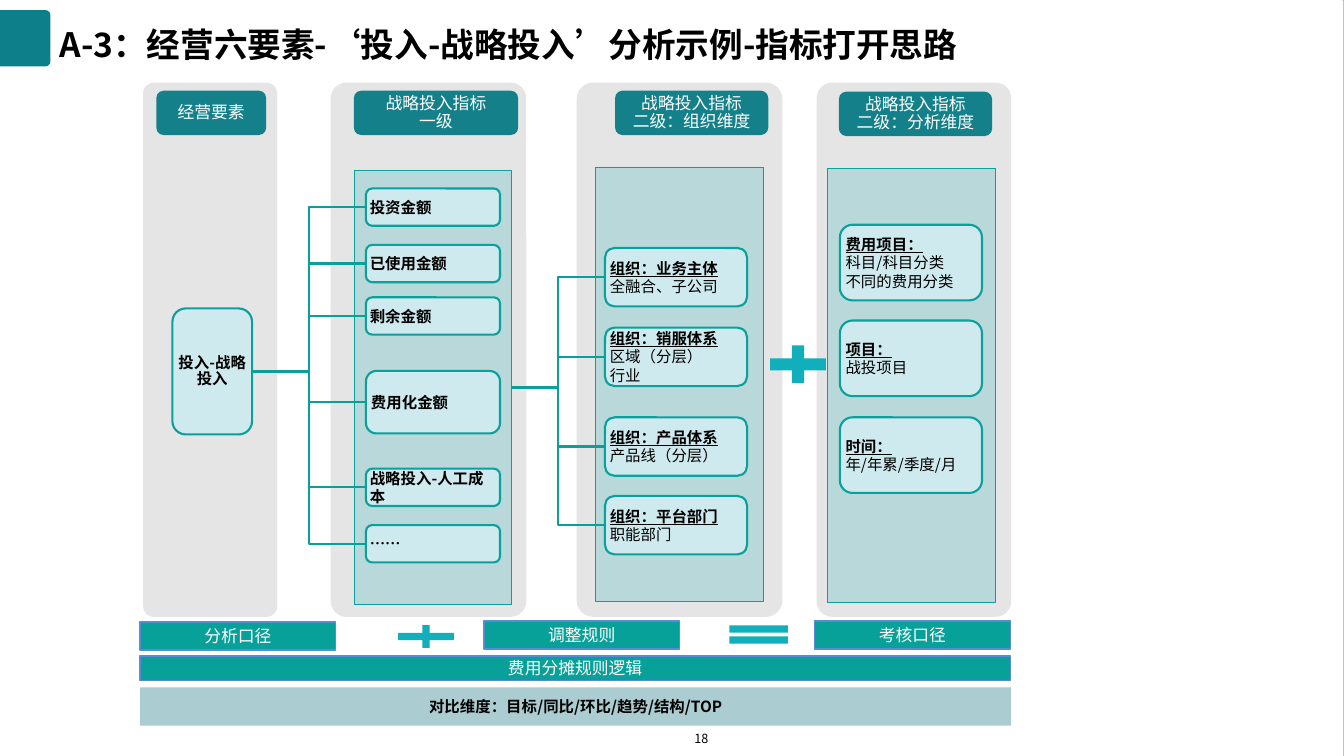
from pptx import Presentation
from pptx.dml.color import RGBColor
from pptx.enum.shapes import MSO_CONNECTOR, MSO_SHAPE as Preset
from pptx.enum.text import MSO_ANCHOR as Anchor, PP_ALIGN as Align
from pptx.oxml.ns import qn
from pptx.util import Inches, Pt
from lxml import etree

FONT = "Noto Sans CJK SC"
BLACK, WHITE, GREY = "000000", "FFFFFF", "E5E5E5"
HEADER, PANEL, CARD, EDGE = "13808A", "B8D8D9", "CFEAEE", "0BA09C"
TEAL, SYMBOL, BAR_EDGE, PALE = "08A19A", "11AFBB", "558ED5", "ABCCD1"
CARD_INSETS = (0.02, 0.02)

COLUMNS = [(1.42, 1.33), (3.28, 1.94), (5.72, 2.04), (8.1, 1.93)]
HEADERS = [
    (1.55, 0.9, 1.09, ["经营要素"]),
    (3.51, 0.9, 1.63, ["战略投入指标", "一级"]),
    (6.1, 0.9, 1.52, ["战略投入指标", "二级：组织维度"]),
    (8.32, 0.91, 1.52, ["战略投入指标", "二级：分析维度"]),
]
INDICATORS = [
    (1.87, 0.37, "投资金额"),
    (2.43, 0.37, "已使用金额"),
    (2.95, 0.37, "剩余金额"),
    (3.68, 0.62, "费用化金额"),
    (4.65, 0.37, "战略投入-人工成本"),
    (5.21, 0.37, "……"),
]
ORGANISATIONS = [
    (2.46, ["组织：业务主体", "全融合、子公司"]),
    (3.25, ["组织：销服体系", "区域（分层）", "行业"]),
    (4.14, ["组织：产品体系", "产品线（分层）"]),
    (4.92, ["组织：平台部门", "职能部门"]),
]
ANALYSES = [
    (2.23, ["费用项目：", "科目/科目分类", "不同的费用分类"]),
    (3.18, ["项目：", "战投项目"]),
    (4.14, ["时间：", "年/年累/季度/月"]),
]
RULES = [(1.39, 6.17, "分析口径"), (4.8, 6.16, "调整规则"), (8.08, 6.16, "考核口径")]
SYMBOLS = [
    (Preset.MATH_PLUS, 7.54, 3.36, 0.75, 0.51),
    (Preset.MATH_PLUS, 3.85, 6.16, 0.75, 0.31),
    (Preset.MATH_EQUAL, 7.13, 6.14, 0.79, 0.31),
]


def color(value):
    return RGBColor.from_string(value)


def add_box(page, preset, area, fill, line=None, width=1.5):
    box = page.shapes.add_shape(preset, *map(Inches, area))
    box.shadow.inherit = False
    box.fill.solid()
    box.fill.fore_color.rgb = color(fill)
    if line:
        box.line.color.rgb = color(line)
        box.line.width = Pt(width)
    else:
        box.line.fill.background()
    return box


def write(box, lines, size, ink=BLACK, bold=False, align=Align.LEFT, spacing=None,
          insets=(0.1, 0.05), anchor=Anchor.MIDDLE, titled=False):
    """Fill a box with paragraphs; titled makes the first one bold and underlined."""
    frame = box.text_frame
    frame.word_wrap = True
    frame.vertical_anchor = anchor
    frame.margin_left = frame.margin_right = Inches(insets[0])
    frame.margin_top = frame.margin_bottom = Inches(insets[1])
    for index, line in enumerate(lines):
        para = frame.add_paragraph() if index else frame.paragraphs[0]
        para.text = line
        para.alignment = align
        if spacing:
            para.line_spacing = spacing
        heading = titled and index == 0
        font = para.font
        font.name, font.size = FONT, Pt(size)
        font.bold, font.underline = bold or heading, heading
        font.color.rgb = color(ink)
        latin = para._p.pPr.find(qn("a:defRPr")).find(qn("a:latin"))
        east_asian = etree.Element(qn("a:ea"), typeface=FONT)
        latin.addnext(east_asian)


def add_label(page, area, text, size, **style):
    box = page.shapes.add_textbox(*map(Inches, area))
    write(box, [text], size, **style)


def add_card(page, area, lines, **style):
    card = add_box(page, Preset.ROUNDED_RECTANGLE, area, CARD, EDGE)
    write(card, lines, 11, insets=CARD_INSETS, **style)
    return card


def add_panel(page, left, top, width):
    return add_box(page, Preset.RECTANGLE, (left, top, width, 4.31), PANEL, EDGE, 0.75)


def add_bar(page, area, text):
    bar = add_box(page, Preset.RECTANGLE, area, TEAL, BAR_EDGE, 1)
    write(bar, [text], 12, WHITE, align=Align.CENTER)


def add_branches(page, source, targets):
    """Link the right side of source to the left side of every target."""
    for target in targets:
        branch = page.shapes.add_connector(MSO_CONNECTOR.ELBOW, 0, 0, 0, 0)
        branch.begin_connect(source, 3)
        branch.end_connect(target, 1)
        branch.line.color.rgb = color(TEAL)
        branch.line.width = Pt(1.5)
        etree.SubElement(branch._element.spPr, qn("a:effectLst"))


def add_frame(page):
    page.background.fill.solid()
    page.background.fill.fore_color.rgb = color(PALE)
    add_box(page, Preset.RECTANGLE, (-0.02, 0.01, 13.33, 7.49), WHITE, WHITE, 1)
    corner = add_box(page, Preset.ROUND_2_SAME_RECTANGLE, (-0.03, 0.13, 0.56, 0.5), "0C7F8A")
    corner.rotation = 90
    corner.adjustments[0] = 0.1
    add_label(page, (0.59, 0.1, 11.62, 0.56),
              "A-3：经营六要素-‘投入-战略投入’分析示例-指标打开思路",
              24, bold=True, spacing=1.3, insets=(0, 0))
    add_label(page, (6.65, 7.2, 0.61, 0.25), "18", 9, align=Align.CENTER,
              insets=(0.04, 0.05), anchor=Anchor.TOP)


def add_columns(page):
    for left, width in COLUMNS:
        column = add_box(page, Preset.ROUNDED_RECTANGLE, (left, 0.82, width, 5.3), GREY)
        column.adjustments[0] = 0.08
    for left, top, width, lines in HEADERS:
        header = add_box(page, Preset.ROUNDED_RECTANGLE, (left, top, width, 0.44), HEADER)
        write(header, lines, 12, WHITE, align=Align.CENTER, spacing=0.9, insets=(0.09, 0.04))


def add_tree(page):
    indicator_panel = add_panel(page, 3.52, 1.69, 1.55)
    add_panel(page, 5.91, 1.66, 1.66)
    add_panel(page, 8.21, 1.67, 1.66)
    root = add_card(page, (1.71, 3.06, 0.79, 1.25), ["投入-战略投入"],
                    bold=True, align=Align.CENTER, spacing=0.9)
    indicators = [add_card(page, (3.63, top, 1.33, height), [text], bold=True)
                  for top, height, text in INDICATORS]
    organisations = [add_card(page, (6, top, 1.41, 0.58), lines, titled=True)
                     for top, lines in ORGANISATIONS]
    for top, lines in ANALYSES:
        add_card(page, (8.33, top, 1.41, 0.75), lines, titled=True)
    add_branches(page, root, indicators)
    add_branches(page, indicator_panel, organisations)


def add_footer(page):
    for left, top, text in RULES:
        add_bar(page, (left, top, 1.94, 0.28), text)
    add_bar(page, (1.39, 6.51, 8.63, 0.24), "费用分摊规则逻辑")
    comparison = add_box(page, Preset.RECTANGLE, (1.39, 6.82, 8.64, 0.38), PALE)
    write(comparison, ["对比维度：目标/同比/环比/趋势/结构/TOP"], 11, bold=True, align=Align.CENTER)


def main():
    deck = Presentation()
    deck.slide_width, deck.slide_height = Inches(13.33), Inches(7.5)
    page = deck.slides.add_slide(deck.slide_layouts[6])
    add_frame(page)
    add_columns(page)
    add_tree(page)
    add_footer(page)
    for preset, *area in SYMBOLS:
        add_box(page, preset, area, SYMBOL)
    deck.save("out.pptx")


if __name__ == "__main__":
    main()
